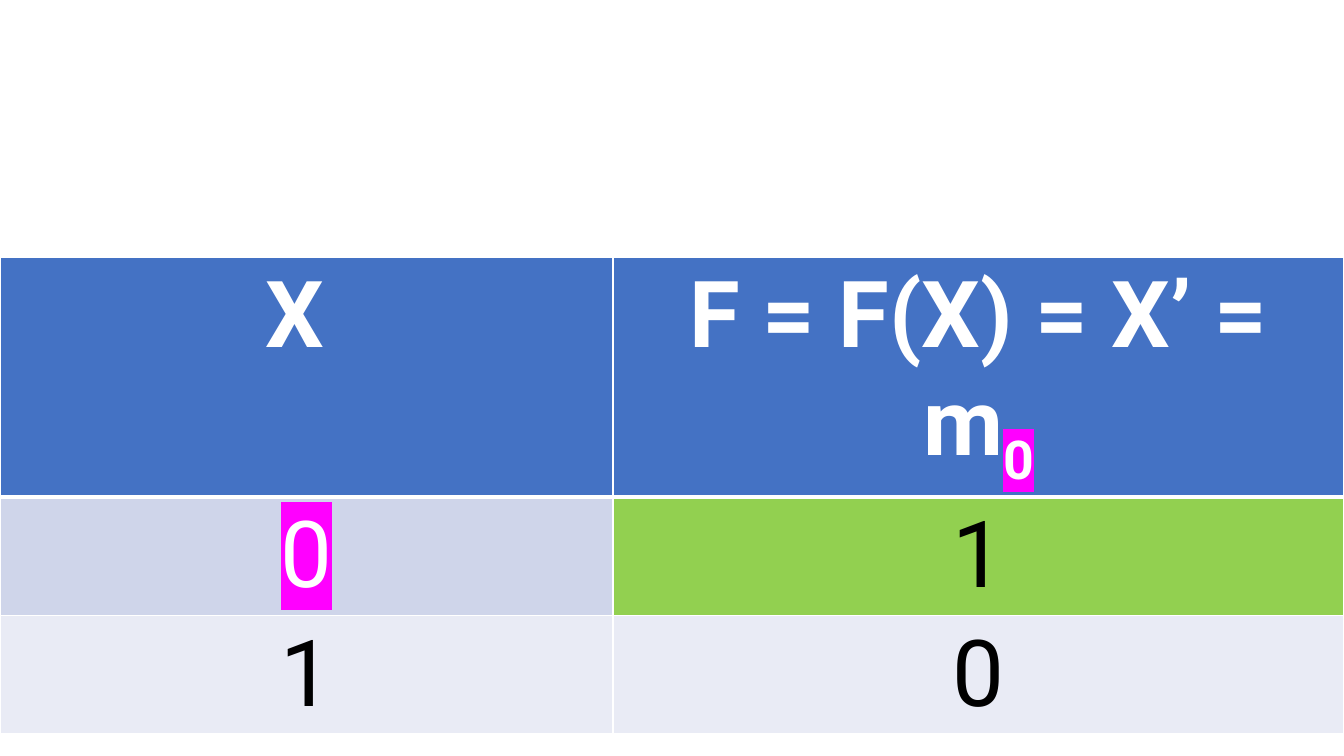
from lxml import etree
from pptx import Presentation
from pptx.dml.color import RGBColor
from pptx.enum.text import PP_ALIGN
from pptx.oxml.ns import qn
from pptx.util import Inches, Pt

CENTER = PP_ALIGN.CENTER
WHITE = RGBColor(0xFF, 0xFF, 0xFF)
BLACK = RGBColor(0x00, 0x00, 0x00)
BLUE = RGBColor(0x44, 0x72, 0xC4)
BAND_DARK = RGBColor(0xCF, 0xD5, 0xEA)
BAND_LIGHT = RGBColor(0xE9, 0xEB, 0xF5)
GREEN = RGBColor(0x92, 0xD0, 0x50)
MAGENTA = RGBColor(0xFF, 0x00, 0xFF)

SLIDE_W, SLIDE_H = 13.33, 7.5
COL_WIDTHS = [6.08, SLIDE_W - 6.08]
ROW_HEIGHTS = [2.36, 1.17, 1.17]
TABLE_TOP = 0.34 * SLIDE_H


def add_color(parent, color):
    etree.SubElement(parent, qn("a:srgbClr"), val=str(color))


def highlight(r, color):
    """Mark a run; the element belongs right after the run's fill."""
    mark = etree.Element(qn("a:highlight"))
    add_color(mark, color)
    r.font._element.find(qn("a:solidFill")).addnext(mark)


def add_run(p, text, color, bold=False):
    r = p.add_run()
    r.text = text
    r.font.name = "Roboto"
    r.font.size = Pt(66)
    r.font.bold = bold
    r.font.color.rgb = color
    return r


def set_borders(cell, top, bottom):
    """White borders, placed ahead of the cell's fill."""
    tcPr = cell._tc.get_or_add_tcPr()
    widths = {"a:lnL": 1, "a:lnR": 1, "a:lnT": top, "a:lnB": bottom}
    for i, (tag, width) in enumerate(widths.items()):
        ln = etree.Element(qn(tag), w=str(Pt(width)))
        add_color(etree.SubElement(ln, qn("a:solidFill")), WHITE)
        tcPr.insert(i, ln)


def fill_cell(cell, text, fill, color, bold=False):
    cell.fill.solid()
    cell.fill.fore_color.rgb = fill
    p = cell.text_frame.paragraphs[0]
    p.alignment = CENTER
    return add_run(p, text, color, bold)


def add_truth_table(slide):
    rows = [
        [("X ", BLUE, WHITE, True), ("F = F(X) = X’ = m", BLUE, WHITE, True)],
        [("0", BAND_DARK, WHITE), ("1", GREEN, BLACK)],
        [("1", BAND_LIGHT, BLACK), ("0", BAND_LIGHT, BLACK)],
    ]
    table = slide.shapes.add_table(
        len(rows), len(COL_WIDTHS), 0, Inches(TABLE_TOP),
        Inches(SLIDE_W), Inches(sum(ROW_HEIGHTS))).table
    for column, width in zip(table.columns, COL_WIDTHS):
        column.width = Inches(width)
    for i, row in enumerate(rows):
        table.rows[i].height = Inches(ROW_HEIGHTS[i])
        for j, content in enumerate(row):
            cell = table.cell(i, j)
            fill_cell(cell, *content)
            set_borders(cell, 3 if i == 1 else 1, 3 if i == 0 else 1)

    # Minterm index and the input value it stands for
    index = add_run(table.cell(0, 1).text_frame.paragraphs[0], "0", WHITE, True)
    index.font._element.set("baseline", "-25000")
    highlight(index, MAGENTA)
    highlight(table.cell(1, 0).text_frame.paragraphs[0].runs[0], MAGENTA)


def main():
    prs = Presentation()
    prs.slide_width = Inches(SLIDE_W)
    prs.slide_height = Inches(SLIDE_H)
    slide = prs.slides.add_slide(prs.slide_layouts[6])
    add_truth_table(slide)
    prs.save("out.pptx")


if __name__ == "__main__":
    main()
